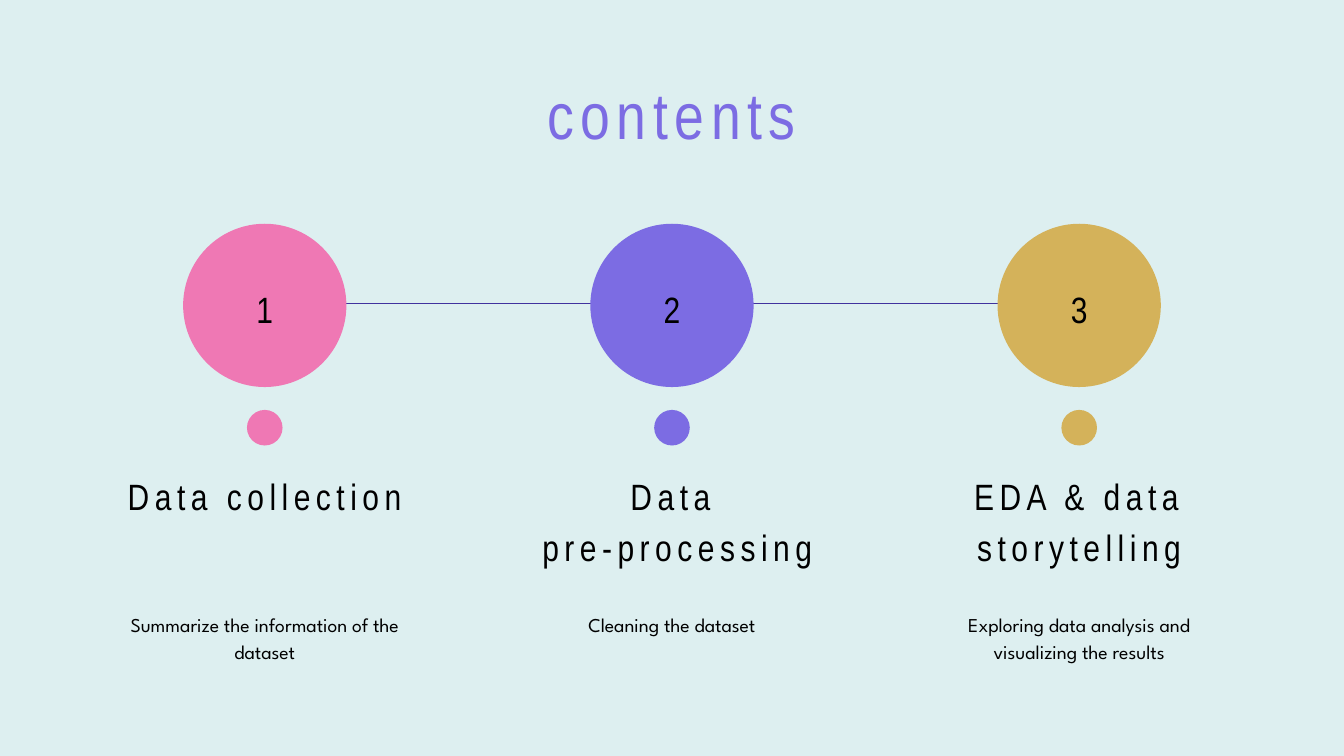
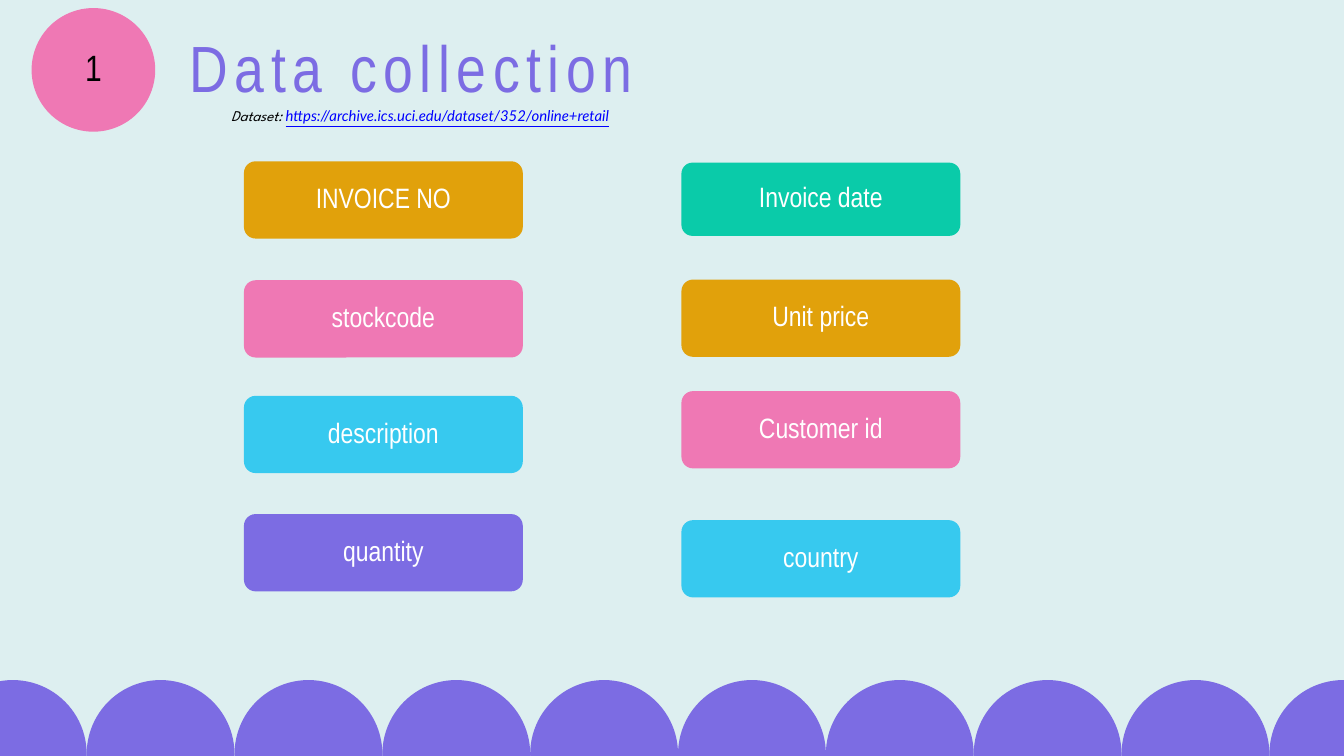
import pptx
import pptx.util
import pptx.dml.color
import pptx.enum.shapes
import pptx.enum.text
import pptx.oxml.ns
import lxml.etree

RGB = pptx.dml.color.RGBColor
Pt = pptx.util.Pt
SHAPES = pptx.enum.shapes.MSO_SHAPE
ALIGN = pptx.enum.text.PP_ALIGN

PALE = RGB(0xDD, 0xEF, 0xF0)
PURPLE = RGB(0x7C, 0x6C, 0xE3)
PINK = RGB(0xEF, 0x78, 0xB4)
GOLD = RGB(0xD4, 0xB2, 0x5A)
AMBER = RGB(0xE1, 0xA1, 0x0B)
SKY = RGB(0x37, 0xC9, 0xEF)
TEAL = RGB(0x0A, 0xCB, 0xA9)
INDIGO = RGB(0x40, 0x32, 0x9E)
BLACK = RGB(0, 0, 0)
WHITE = RGB(0xFF, 0xFF, 0xFF)
LINK_BLUE = RGB(0, 0, 0xFF)

# The slide is a grid of 20 columns and 11.25 rows of square cells
COLUMNS, ROWS = 20, 11.25
CELL = pptx.util.Inches(1)


def text_style(name, size, color, leading, tracking=0, **extra):
    font = {"name": name, "size": Pt(size), **extra}
    return {"font": font, "color": color, "leading": Pt(leading), "tracking": tracking}


TITLE = text_style("Arial Narrow", 70, PURPLE, 77.7, 7.1)
HEADING = text_style("Arial Narrow", 39.2, BLACK, 54.9, 5.9)
NOTE = text_style("League Spartan", 21, BLACK, 29.4)
CARD = text_style("Arial Narrow", 30, WHITE, 45)
SOURCE = text_style("League Spartan", 16, BLACK, 25.2, italic=True)
SOURCE_LINK = text_style("Lato", 16, LINK_BLUE, 25.2, italic=True, underline=True)

# Contents: circle colour, heading lines, heading shift, note
STEPS = [
    (PINK, ["Data collection"], 0, "Summarize the information of the dataset"),
    (PURPLE, ["Data ", "pre-processing"], 0.08, "Cleaning the dataset"),
    (GOLD, ["EDA & data storytelling"], 0,
     "Exploring data analysis and visualizing the results"),
]
STEP_PITCH, STEP_TEXT_WIDTH = 6.06, 4.5
CIRCLE, DOT = 2.43, 0.53

# Dataset fields by left edge: label, colour, top, height
FIELDS = {
    3.63: [("INVOICE NO", AMBER, 2.4, 1.15), ("stockcode", PINK, 4.17, 1.15),
           ("description", SKY, 5.89, 1.15), ("quantity", PURPLE, 7.65, 1.15)],
    10.14: [("Invoice date", TEAL, 2.42, 1.09), ("Unit price", AMBER, 4.16, 1.15),
            ("Customer id", PINK, 5.82, 1.15), ("country", SKY, 7.74, 1.15)],
}
FIELD_WIDTH, FIELD_RADIUS = 4.15, 0.15
SCALLOP, SCALLOP_START, SCALLOP_TOP, SCALLOP_COUNT = 2.2, -0.91, 10.12, 10


def cells(*lengths):
    return [round(length * CELL) for length in lengths]


def write(frame, paragraphs, align=ALIGN.CENTER, bottom=0):
    """Fill a text frame; each paragraph is a list of (text, style) runs."""
    frame.word_wrap = True
    margins = {"margin_left": 0, "margin_top": 0, "margin_right": 0,
               "margin_bottom": cells(bottom)[0]}
    for name, value in margins.items():
        setattr(frame, name, value)
    for index, runs in enumerate(paragraphs):
        paragraph = frame.add_paragraph() if index else frame.paragraphs[0]
        paragraph.alignment = align
        paragraph.line_spacing = runs[0][1]["leading"]
        for text, style in runs:
            run = paragraph.add_run()
            run.text = text
            for name, value in style["font"].items():
                setattr(run.font, name, value)
            run.font.color.rgb = style["color"]
            if style["tracking"]:
                run._r.get_or_add_rPr().set("spc", str(round(style["tracking"] * 100)))


def add_text(slide, left, top, width, height, paragraphs, align=ALIGN.CENTER):
    frame = slide.shapes.add_textbox(*cells(left, top, width, height)).text_frame
    write(frame, paragraphs, align)
    frame.auto_size = pptx.enum.text.MSO_AUTO_SIZE.SHAPE_TO_FIT_TEXT


def add_filled(slide, kind, left, top, width, height, color):
    shape = slide.shapes.add_shape(kind, *cells(left, top, width, height))
    shape.shadow.inherit = False
    shape.fill.solid()
    shape.fill.fore_color.rgb = color
    shape.line.fill.background()
    return shape


def add_label(shape, text, style, lift=0):
    """Centre a label in a shape, raised by lift."""
    write(shape.text_frame, [[(text, style)]], bottom=2 * lift)
    shape.text_frame.vertical_anchor = pptx.enum.text.MSO_ANCHOR.MIDDLE


def add_disc(slide, center, top, size, color):
    return add_filled(slide, SHAPES.OVAL, center - size / 2, top, size, size, color)


def add_title(slide, left, top, text):
    add_text(slide, left, top, 17.75, 1.1, [[(text, TITLE)]])


def add_rule(slide, start, end, row):
    rule = slide.shapes.add_connector(
        pptx.enum.shapes.MSO_CONNECTOR.STRAIGHT, *cells(start, row, end, row))
    rule.line.color.rgb = INDIGO
    rule.line.width = Pt(0.75)
    lxml.etree.SubElement(rule._element.spPr, pptx.oxml.ns.qn("a:effectLst"))


def add_step(slide, number, center, color, heading, shift, note):
    left = center - STEP_TEXT_WIDTH / 2
    add_label(add_disc(slide, center, 3.33, CIRCLE, color), str(number), HEADING)
    add_disc(slide, center, 6.1, DOT, color)
    add_text(slide, left + shift, 6.94, STEP_TEXT_WIDTH, 0.75 * len(heading),
             [[(line, HEADING)] for line in heading])
    add_text(slide, left, 9.06, STEP_TEXT_WIDTH, 0.79, [[(note, NOTE)]])


def add_field(slide, left, label, color, top, height):
    card = add_filled(slide, SHAPES.ROUNDED_RECTANGLE, left, top, FIELD_WIDTH, height, color)
    card.adjustments[0] = FIELD_RADIUS
    add_label(card, label, CARD, lift=0.1)


def add_scallops(slide):
    for index in range(SCALLOP_COUNT):
        center = SCALLOP_START + (index + 0.5) * SCALLOP
        add_disc(slide, center, SCALLOP_TOP, SCALLOP, PURPLE)


def new_slide(deck):
    slide = deck.slides.add_slide(deck.slide_layouts[6])
    slide.background.fill.solid()
    slide.background.fill.fore_color.rgb = PALE
    return slide


def build_contents(deck):
    slide = new_slide(deck)
    add_title(slide, 1.12, 1.19, "contents")
    add_rule(slide, 3.67, 16.73, 4.51)
    for index, step in enumerate(STEPS):
        add_step(slide, index + 1, COLUMNS / 2 + (index - 1) * STEP_PITCH, *step)


def build_data_collection(deck):
    slide = new_slide(deck)
    add_scallops(slide)
    for left, fields in FIELDS.items():
        for field in fields:
            add_field(slide, left, *field)
    # Heading with its number and the dataset address
    add_text(slide, 3.44, 1.51, 7.31, 0.67,
             [[("Dataset: ", SOURCE),
               ("https://archive.ics.uci.edu/dataset/352/online+retail", SOURCE_LINK)]],
             ALIGN.LEFT)
    add_title(slide, -2.75, 0.49, "Data collection")
    add_label(add_disc(slide, 1.39, 0.12, 1.84, PINK), "1", HEADING, lift=0.1)


def main():
    deck = pptx.Presentation()
    deck.slide_width, deck.slide_height = cells(COLUMNS, ROWS)
    build_contents(deck)
    build_data_collection(deck)
    deck.save("out.pptx")


if __name__ == "__main__":
    main()
